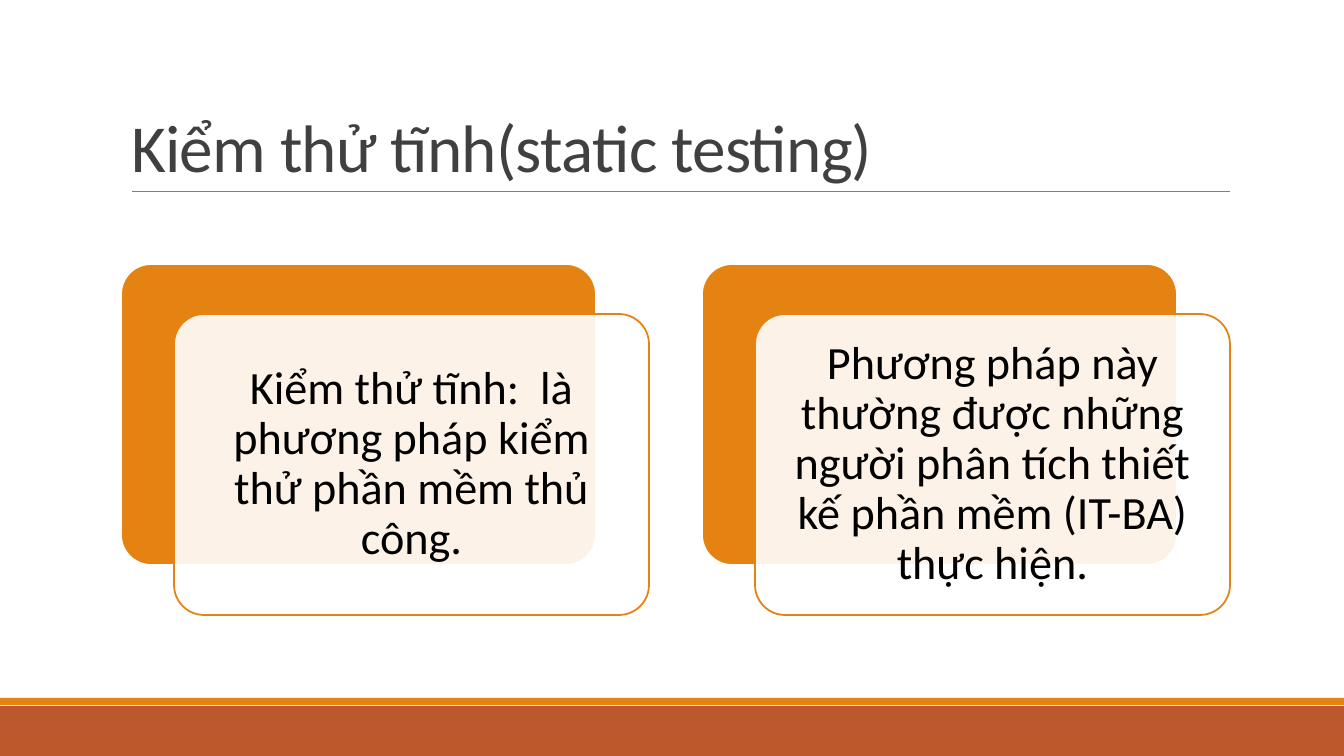
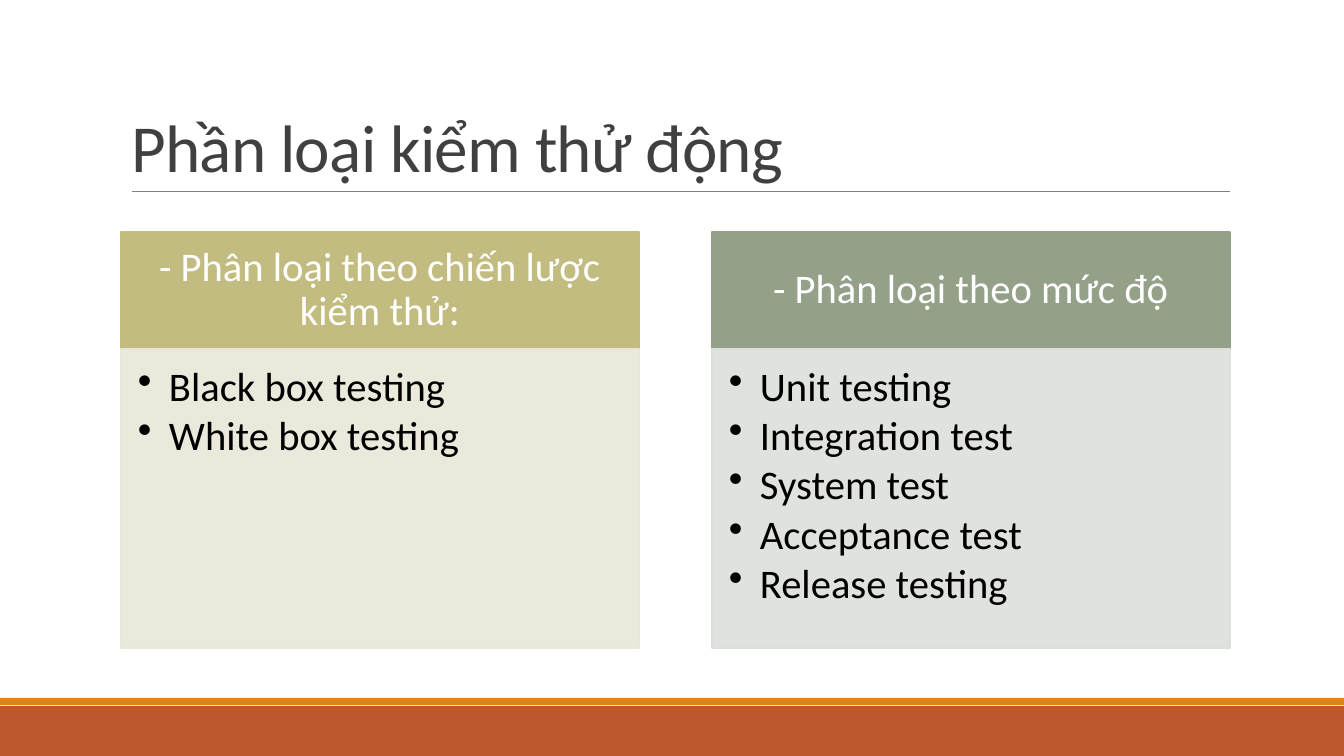
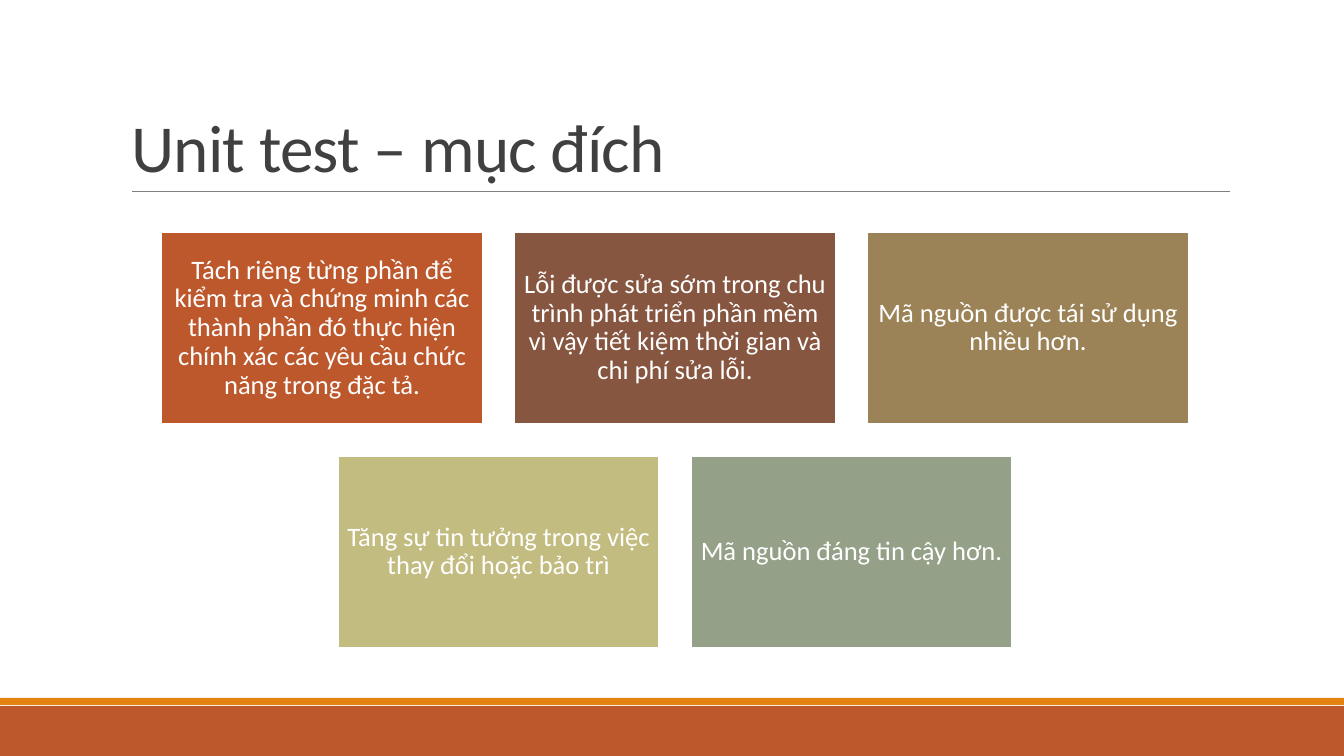
from pptx import Presentation
from pptx.dml.color import RGBColor
from pptx.enum.shapes import MSO_CONNECTOR, MSO_SHAPE
from pptx.enum.text import MSO_ANCHOR, PP_ALIGN
from pptx.oxml.ns import qn
from pptx.util import Pt
from lxml import etree

RECT, ROUNDED = MSO_SHAPE.RECTANGLE, MSO_SHAPE.ROUNDED_RECTANGLE
STRAIGHT = MSO_CONNECTOR.STRAIGHT
TOP, MIDDLE, BOTTOM = MSO_ANCHOR.TOP, MSO_ANCHOR.MIDDLE, MSO_ANCHOR.BOTTOM
LEFT, CENTER = PP_ALIGN.LEFT, PP_ALIGN.CENTER

WHITE = RGBColor(0xFF, 0xFF, 0xFF)
BLACK = RGBColor(0x00, 0x00, 0x00)
CHARCOAL = RGBColor(0x40, 0x40, 0x40)
GRAY = RGBColor(0x80, 0x80, 0x80)
ORANGE = RGBColor(0xE4, 0x83, 0x12)
RUST = RGBColor(0xBD, 0x58, 0x2C)
BROWN = RGBColor(0x86, 0x56, 0x40)
TAN = RGBColor(0x9B, 0x83, 0x57)
OLIVE = RGBColor(0xC2, 0xBC, 0x80)
SAGE = RGBColor(0x94, 0xA0, 0x88)
PALE_OLIVE = RGBColor(0xE9, 0xE7, 0xD8)
PALE_SAGE = RGBColor(0xDC, 0xDF, 0xDA)

FONT = "Calibri"
PX = 12192000 / 1344


def add_box(page, kind, left, top, width, height, fill, line=None, alpha=None):
    box = page.shapes.add_shape(
        kind, *(round(length * PX) for length in (left, top, width, height)))
    box.shadow.inherit = False
    box.fill.solid()
    box.fill.fore_color.rgb = fill
    if line is None:
        box.line.fill.background()
    else:
        box.line.color.rgb = line
        box.line.width = Pt(1.25)
    if kind == ROUNDED:
        box.adjustments[0] = 0.1
    if alpha:
        color = box.fill._xPr.find(qn("a:solidFill"))[0]
        etree.SubElement(color, qn("a:alpha")).set("val", str(alpha * 1000))
    return box


def write(box, lines, size, color, insets=None, anchor=MIDDLE, align=CENTER,
          spacing=0.9):
    frame = box.text_frame
    frame.text = "\n".join(lines)
    frame.word_wrap = True
    frame.vertical_anchor = anchor
    if insets:
        (frame.margin_left, frame.margin_top, frame.margin_right,
         frame.margin_bottom) = (round(inset * PX) for inset in insets)
    for para in frame.paragraphs:
        para.alignment = align
        para.line_spacing = spacing
        for span in para.runs:
            span.font.name = FONT
            span.font.size = Pt(size)
            span.font.color.rgb = color


deck = Presentation()
deck.slide_width = round(1344 * PX)
deck.slide_height = round(756 * PX)

# Titles
pages = []
for title in ("Kiểm thử tĩnh(static testing)", "Phần loại kiểm thử động",
              "Unit test – mục đích"):
    page = deck.slides.add_slide(deck.slide_layouts[5])
    heading = page.shapes.title
    heading.left, heading.top, heading.width, heading.height = (
        round(length * PX) for length in (121, 31, 1109, 160))
    write(heading, [title], 48, CHARCOAL, None, BOTTOM, LEFT, 0.85)
    heading.text_frame.paragraphs[0].runs[0].font._element.set("spc", "-50")
    pages.append(page)
static_page, dynamic_page, unit_page = pages

# Footer bands and title rule, moved to the master for every slide
footer = add_box(static_page, RECT, 0, 706, 1344, 50, RUST)
stripe = add_box(static_page, RECT, 0, 698, 1344, 7, ORANGE)
rule = static_page.shapes.add_connector(
    STRAIGHT, *(round(length * PX) for length in (132, 191, 1230, 191)))
rule.line.color.rgb = GRAY
rule.line.width = Pt(0.5)
etree.SubElement(rule._element.spPr, qn("a:effectLst"))
for part in (footer, stripe, rule):
    deck.slide_master.shapes.element.append(part.element)

# Static testing: two overlapping cards
statements = (
    "Kiểm thử tĩnh:  là phương pháp kiểm thử phần mềm thủ công.",
    "Phương pháp này thường được những người phân tích thiết kế phần mềm "
    "(IT-BA) thực hiện.",
)
for column, statement in enumerate(statements):
    left = 121 + column * 581
    add_box(static_page, ROUNDED, left, 264, 475, 301, ORANGE, WHITE)
    card = add_box(static_page, ROUNDED, left + 53, 314, 475, 301, WHITE,
                   ORANGE, 90)
    write(card, [statement], 33, BLACK, (14, 14, 14, 14))

# Dynamic testing: two headed lists
groups = (
    ("- Phân loại theo chiến lược kiểm thử:", OLIVE, PALE_OLIVE,
     ["Black box testing", "White box testing"]),
    ("- Phân loại theo mức độ", SAGE, PALE_SAGE,
     ["Unit testing", "Integration test", "System test", "Acceptance test",
      "Release testing"]),
)
for column, (label, strong, pale, items) in enumerate(groups):
    left = 121 + column * 591
    header = add_box(dynamic_page, RECT, left, 232, 518, 117, strong, strong)
    write(header, [label], 29, WHITE, (23, 13, 23, 13))
    body = add_box(dynamic_page, RECT, left, 349, 518, 299, pale, pale, 90)
    write(body, items, 29, BLACK, (17, 17, 23, 25), TOP, LEFT)
    for para in body.text_frame.paragraphs:
        para.space_after = Pt(4)
        properties = para._p.get_or_add_pPr()
        properties.set("marL", str(round(31 * PX)))
        properties.set("indent", str(round(-31 * PX)))
        etree.SubElement(properties, qn("a:buChar")).set("char", "•")

# Unit test goals: centred rows of tiles
TILE_WIDTH, TILE_HEIGHT, GAP, MIDDLE_X = 321, 192, 32, 675
goal_rows = (
    (("Tách riêng từng phần để kiểm tra và chứng minh các thành phần đó "
      "thực hiện chính xác các yêu cầu chức năng trong đặc tả.", RUST),
     ("Lỗi được sửa sớm trong chu trình phát triển phần mềm vì vậy tiết "
      "kiệm thời gian và chi phí sửa lỗi.", BROWN),
     ("Mã nguồn được tái sử dụng nhiều hơn.", TAN)),
    (("Tăng sự tin tưởng trong việc thay đổi hoặc bảo trì", OLIVE),
     ("Mã nguồn đáng tin cậy hơn.", SAGE)),
)
for row, goals in enumerate(goal_rows):
    row_width = len(goals) * (TILE_WIDTH + GAP) - GAP
    for column, (goal, color) in enumerate(goals):
        left = MIDDLE_X - row_width / 2 + column * (TILE_WIDTH + GAP)
        top = 232 + row * (TILE_HEIGHT + GAP)
        tile = add_box(unit_page, RECT, left, top, TILE_WIDTH, TILE_HEIGHT,
                       color, WHITE)
        write(tile, [goal], 19, WHITE, (8, 8, 8, 8))

deck.save("out.pptx")
